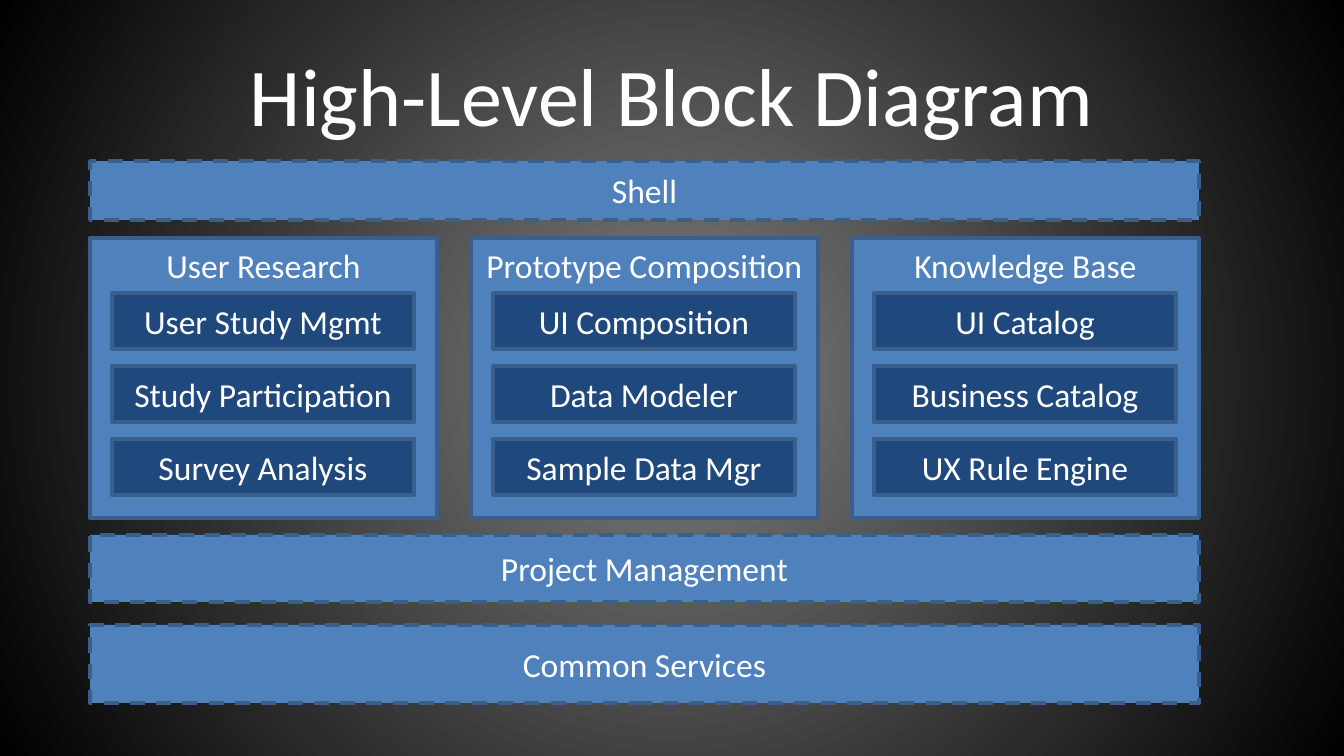
"""Build the high-level block diagram slide."""
from lxml import etree
from pptx import Presentation, util as u
from pptx.dml.color import RGBColor
from pptx.enum import dml, shapes, text
from pptx.oxml import ns

SCALE = 9144000 / 1344
LEFT, COLUMN_STEP, MODULE_STEP = 90, 381, 73
BARS = [("Shell", 161, 59), ("Project Management", 535, 67), ("Common Services", 625, 78)]
COLUMNS = [
    ("User Research", ["User Study Mgmt", "Study Participation", "Survey Analysis"]),
    ("Prototype Composition", ["UI Composition", "Data Modeler", "Sample Data Mgr"]),
    ("Knowledge Base", ["UI Catalog", "Business Catalog", "UX Rule Engine"]),
]


def color(value):
    return RGBColor.from_string(value)


def add_block(page, label, bounds, fill, anchor=text.MSO_ANCHOR.MIDDLE, dash=None):
    box = page.shapes.add_shape(
        shapes.MSO_SHAPE.RECTANGLE, *[round(value * SCALE) for value in bounds])
    box.shadow.inherit = False
    box.fill.solid()
    box.fill.fore_color.rgb = color(fill)
    box.line.color.rgb = color("3A5F8C")
    box.line.width = u.Pt(2)
    box.line.dash_style = dash
    frame = box.text_frame
    frame.word_wrap = True
    frame.vertical_anchor = anchor
    para = frame.paragraphs[0]
    para.alignment = text.PP_ALIGN.CENTER
    span = para.add_run()
    span.text = label
    span.font.name = "Calibri"
    span.font.size = u.Pt(18)
    span.font.color.rgb = color("FFFFFF")


deck = Presentation()
deck.slide_width = round(1344 * SCALE)
deck.slide_height = round(756 * SCALE)
page = deck.slides.add_slide(deck.slide_layouts[5])

backdrop = page.background.fill
backdrop.gradient()
for stop, position, shade in zip(backdrop.gradient_stops, (0, 1), ("7F7F7F", "000000")):
    stop.position = position
    stop.color.rgb = color(shade)
linear = page.element.find(".//" + ns.qn("a:lin"))
radial = etree.Element(ns.qn("a:path"), {"path": "circle"})
etree.SubElement(radial, ns.qn("a:fillToRect"), dict.fromkeys("ltrb", "50000"))
linear.getparent().replace(linear, radial)

title = page.shapes.title
title.left, title.top, title.width, title.height = [
    round(value * SCALE) for value in (67, 31, 1210, 126)]
title.text_frame.vertical_anchor = text.MSO_ANCHOR.MIDDLE
para = title.text_frame.paragraphs[0]
para.alignment = text.PP_ALIGN.CENTER
span = para.add_run()
span.text = "High-Level Block Diagram"
span.font.name = "Calibri"
span.font.size = u.Pt(44)
span.font.color.rgb = color("FFFFFF")

for label, top, height in BARS:
    add_block(page, label, (LEFT, top, 1109, height), "4F81BD", dash=dml.MSO_LINE.DASH)

for column, (heading, modules) in enumerate(COLUMNS):
    left = LEFT + column * COLUMN_STEP
    add_block(page, heading, (left, 238, 347, 280), "4F81BD", text.MSO_ANCHOR.TOP)
    for row, module in enumerate(modules):
        add_block(page, module, (left + 22, 293 + row * MODULE_STEP, 302, 56), "1F497D")

deck.save("out.pptx")
